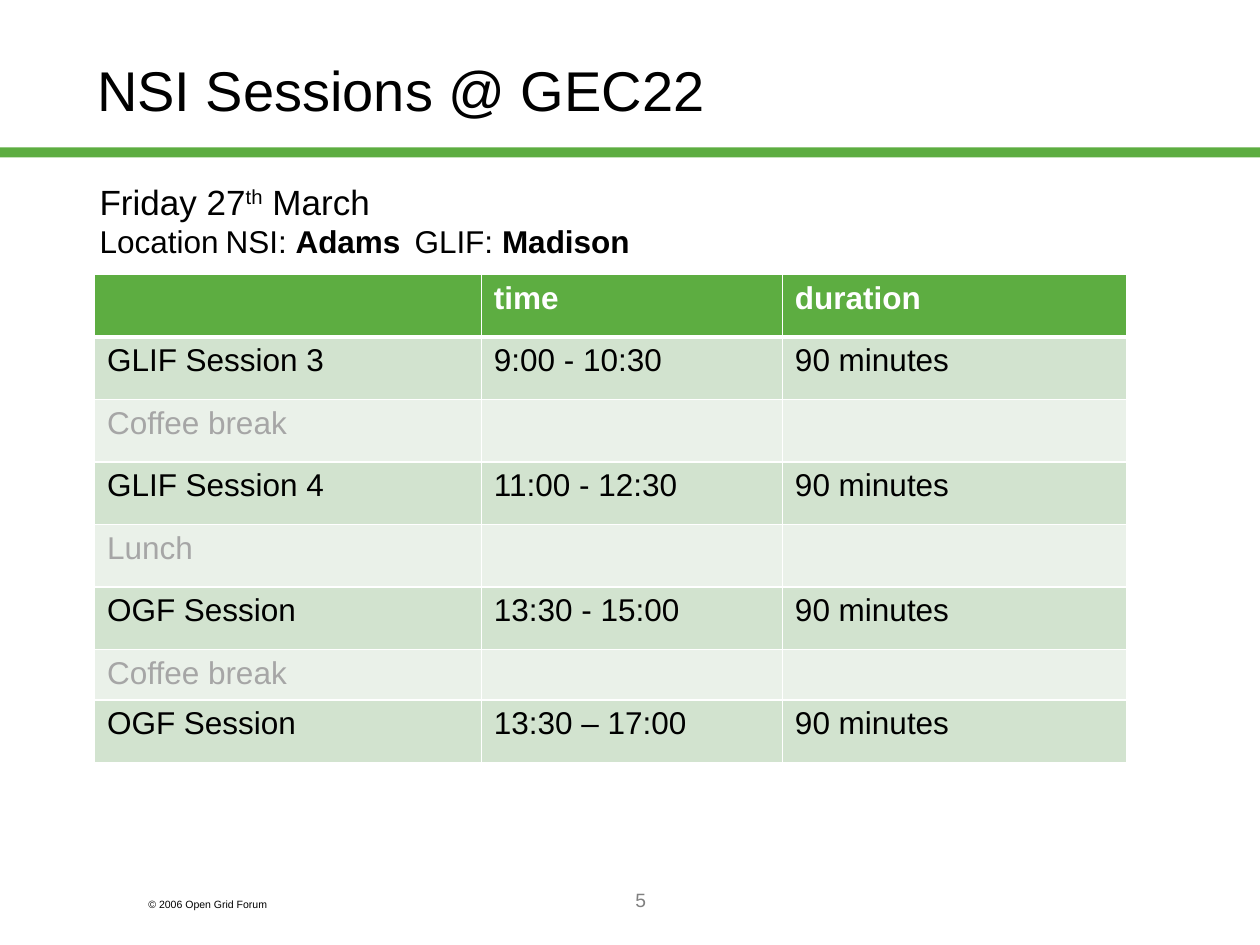
"""Build the slide listing the NSI sessions at GEC22."""
from dataclasses import dataclass

from lxml.etree import SubElement
from pptx import Presentation
from pptx.dml.color import RGBColor
from pptx.enum.shapes import MSO_SHAPE
from pptx.enum.text import MSO_ANCHOR, MSO_AUTO_SIZE, PP_ALIGN
from pptx.oxml.ns import qn
from pptx.util import Inches, Pt

FONT = "Arial"
GREEN = RGBColor(0x5D, 0xAD, 0x41)
BAND_DARK = RGBColor(0xD2, 0xE3, 0xCF)
BAND_LIGHT = RGBColor(0xEA, 0xF1, 0xE9)
WHITE = RGBColor(0xFF, 0xFF, 0xFF)
BLACK = RGBColor(0x00, 0x00, 0x00)
GREY = RGBColor(0x80, 0x80, 0x80)
BREAK_GREY = RGBColor(0xA6, 0xA6, 0xA6)


@dataclass
class Session:
    name: str
    time: str = ""
    duration: str = ""
    height: float = 3.47 / 7

    @property
    def is_break(self) -> bool:
        return not self.time


SESSIONS = [
    Session("GLIF Session 3", "9:00 - 10:30", "90 minutes"),
    Session("Coffee break"),
    Session("GLIF Session 4", "11:00 - 12:30", "90 minutes"),
    Session("Lunch"),
    Session("OGF Session", "13:30 - 15:00", "90 minutes"),
    Session("Coffee break", height=0.4),
    Session("OGF Session", "13:30 – 17:00", "90 minutes"),
]
HEADER = Session("", "time", "duration")
COLUMN_WIDTHS = [3.07, 2.39, 2.73]


def set_font(target, size: float, color: RGBColor, bold: bool = False) -> None:
    font = target.font
    font.name, font.size, font.bold = FONT, Pt(size), bold
    font.color.rgb = color


def place(sp, left: float, top: float, width: float, height: float) -> None:
    sp.left, sp.top = Inches(left), Inches(top)
    sp.width, sp.height = Inches(width), Inches(height)


def add_label(slide, box: tuple, text: str, size: float, color: RGBColor,
              align: PP_ALIGN = PP_ALIGN.LEFT) -> None:
    tf = slide.shapes.add_textbox(*map(Inches, box)).text_frame
    tf.word_wrap = True
    p = tf.paragraphs[0]
    p.text, p.alignment = text, align
    set_font(p, size, color)


def set_borders(cell, bottom: float) -> None:
    tc_pr = cell._tc.get_or_add_tcPr()
    widths = {"a:lnL": 1, "a:lnR": 1, "a:lnT": 1, "a:lnB": bottom}
    for i, (tag, width) in enumerate(widths.items()):
        ln = tc_pr.makeelement(qn(tag), {"w": str(Pt(width))})
        fill = SubElement(ln, qn("a:solidFill"))
        SubElement(fill, qn("a:srgbClr"), val=str(WHITE))
        tc_pr.insert(i, ln)


def fill_row(row, session: Session, fill: RGBColor, color: RGBColor,
             header: bool = False) -> None:
    row.height = Inches(session.height)
    texts = (session.name, session.time, session.duration)
    for cell, text in zip(row.cells, texts):
        cell.text = text
        cell.fill.solid()
        cell.fill.fore_color.rgb = fill
        set_font(cell.text_frame.paragraphs[0], 18, color, header)
        set_borders(cell, 3 if header else 1)


def add_schedule(slide) -> None:
    rows = len(SESSIONS) + 1
    box = map(Inches, (0.75, 2.18, sum(COLUMN_WIDTHS), 3.87))
    table = slide.shapes.add_table(rows, len(COLUMN_WIDTHS), *box).table
    for column, width in zip(table.columns, COLUMN_WIDTHS):
        column.width = Inches(width)
    fill_row(table.rows[0], HEADER, GREEN, WHITE, header=True)
    for i, session in enumerate(SESSIONS, 1):
        fill = BAND_LIGHT if session.is_break else BAND_DARK
        color = BREAK_GREY if session.is_break else BLACK
        fill_row(table.rows[i], session, fill, color)


def write_title(sp) -> None:
    place(sp, 0.67, 0.13, 8.5, 1.25)
    tf = sp.text_frame
    tf.auto_size, tf.vertical_anchor = MSO_AUTO_SIZE.NONE, MSO_ANCHOR.MIDDLE
    p = tf.paragraphs[0]
    p.text, p.alignment, p.line_spacing = "NSI Sessions @ GEC22", PP_ALIGN.LEFT, 0.8
    p_pr = p._p.get_or_add_pPr()
    p_pr.set("marL", str(Inches(0.42)))
    p_pr.set("indent", str(Inches(-0.42)))
    set_font(p, 32, BLACK)


def write_details(sp) -> None:
    place(sp, 0.69, 1.38, 7.46, 0.72)
    tf = sp.text_frame
    tf.auto_size, tf.vertical_anchor = MSO_AUTO_SIZE.NONE, MSO_ANCHOR.TOP
    p = tf.paragraphs[0]
    p.space_before = Pt(0)
    p_pr = p._p.get_or_add_pPr()
    p_pr.set("marL", "0")
    p_pr.set("indent", "0")
    SubElement(p_pr, qn("a:buNone"))
    tabs = SubElement(p_pr, qn("a:tabLst"))
    for position in (1.22, 2.96):
        SubElement(tabs, qn("a:tab"), pos=str(Inches(position)), algn="l")
    for text, raised in (("Friday 27", False), ("th", True), (" March", False)):
        r = p.add_run()
        r.text = text
        set_font(r, 20, BLACK)
        if raised:
            r.font._element.set("baseline", "30000")
    p.add_line_break()
    for text, bold in (("Location\tNSI: ", False), ("Adams", True),
                       ("\tGLIF: ", False), ("Madison", True)):
        r = p.add_run()
        r.text = text
        set_font(r, 18, BLACK, bold)


def main() -> None:
    prs = Presentation()
    prs.slide_width, prs.slide_height = Inches(10), Inches(7.5)
    slide = prs.slides.add_slide(prs.slide_layouts[1])
    bar = slide.shapes.add_shape(MSO_SHAPE.RECTANGLE, *map(Inches, (0, 1.17, 10, 0.08)))
    bar.shadow.inherit = False
    bar.fill.solid()
    bar.fill.fore_color.rgb = GREEN
    bar.line.fill.background()
    add_label(slide, (1.08, 7.08, 1.5, 0.2), "© 2006 Open Grid Forum", 6, BLACK)
    add_label(slide, (2.17, 7, 5.83, 0.5), "5", 11, GREY, PP_ALIGN.CENTER)
    add_schedule(slide)
    write_details(slide.placeholders[1])
    write_title(slide.shapes.title)
    prs.save("out.pptx")


if __name__ == "__main__":
    main()
